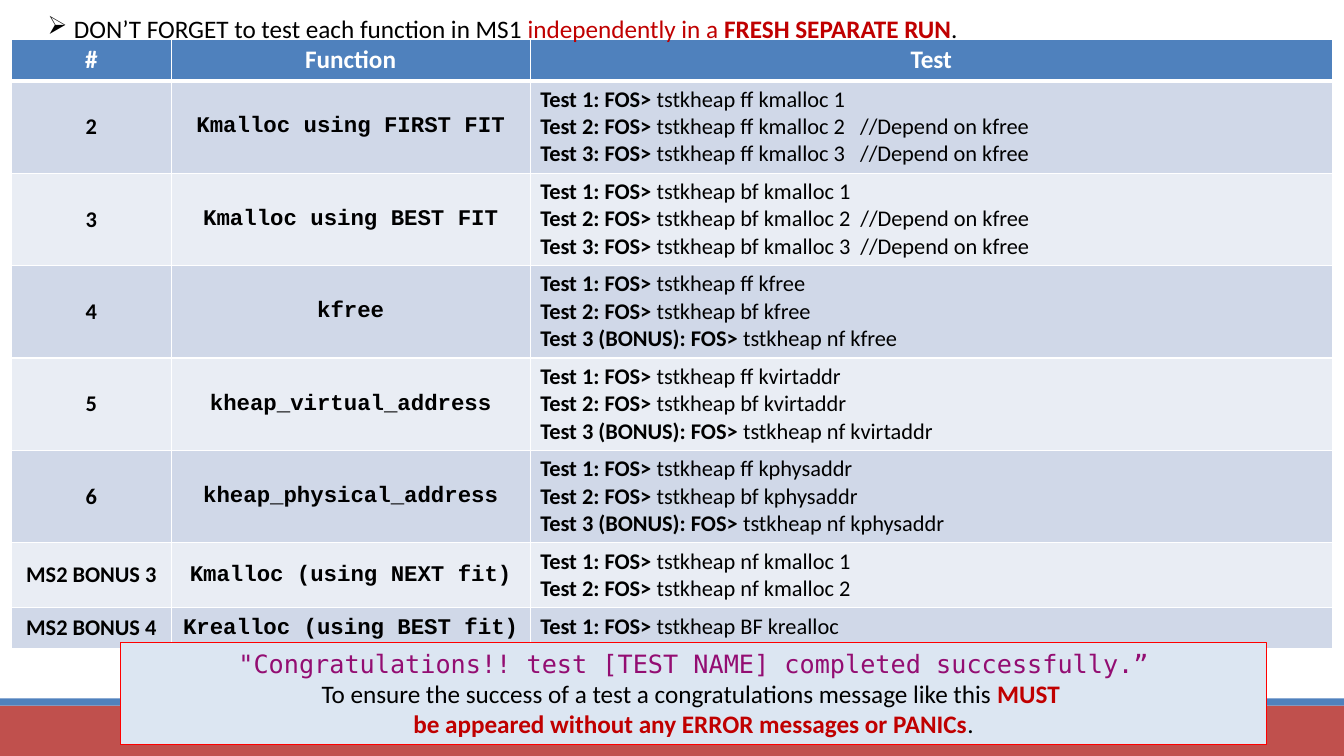
from dataclasses import dataclass
from lxml.etree import SubElement as Sub
from pptx import Presentation
from pptx.dml.color import RGBColor as Rgb
from pptx.enum.shapes import MSO_SHAPE as Shape
from pptx.enum.text import MSO_ANCHOR as Anchor, PP_ALIGN as Align
from pptx.oxml.ns import qn
from pptx.util import Pt

PX = 9525


@dataclass(frozen=True)
class Theme:
    """Colours, fonts and type sizes of the slide."""
    blue: str = "4F81BD"
    brick: str = "C0504D"
    pale: str = "DCE6F2"
    odd: str = "D0D8E8"
    even: str = "E9EDF4"
    white: str = "FFFFFF"
    black: str = "000000"
    edge: str = "FF0000"
    alert: str = "C00000"
    plum: str = "930D72"
    body: str = "Calibri"
    code: str = "Courier New"
    mono: str = "DejaVu Sans Mono"
    big: int = 18
    small: int = 16


T = Theme()
HEADS = ("#", "Function", "Test")
COLS = (152, 342, 764)
BONUS = "Test 3 (BONUS)"
ROWS = (
    ("2", "Kmalloc using FIRST FIT", 88, (
        ("Test 1", "ff kmalloc 1"),
        ("Test 2", "ff kmalloc 2   //Depend on kfree"),
        ("Test 3", "ff kmalloc 3   //Depend on kfree"))),
    ("3", "Kmalloc using BEST FIT", 88, (
        ("Test 1", "bf kmalloc 1"),
        ("Test 2", "bf kmalloc 2  //Depend on kfree"),
        ("Test 3", "bf kmalloc 3  //Depend on kfree"))),
    ("4", "kfree", 88, (
        ("Test 1", "ff kfree"), ("Test 2", "bf kfree"), (BONUS, "nf kfree"))),
    ("5", "kheap_virtual_address", 88, (
        ("Test 1", "ff kvirtaddr"), ("Test 2", "bf kvirtaddr"),
        (BONUS, "nf kvirtaddr"))),
    ("6", "kheap_physical_address", 88, (
        ("Test 1", "ff kphysaddr"), ("Test 2", "bf kphysaddr"),
        (BONUS, "nf kphysaddr"))),
    ("MS2 BONUS 3", "Kmalloc (using NEXT fit)", 62, (
        ("Test 1", "nf kmalloc 1"), ("Test 2", "nf kmalloc 2"))),
    ("MS2 BONUS 4", "Krealloc (using BEST fit)", 39, (
        ("Test 1", "BF krealloc"),)),
)


def emu(*nums):
    """Turn px lengths into EMU."""
    return [n * PX for n in nums]


def add_run(para, text, color=T.black, bold=False, face=T.body, size=T.big):
    """Add one styled run."""
    run = para.add_run()
    run.text = text
    font = run.font
    font.name, font.size, font.bold = face, Pt(size), bold
    font.color.rgb = Rgb.from_string(color)


def add_rect(slide, box, fill, line=None):
    """Add a flat rectangle."""
    rect = slide.shapes.add_shape(Shape.RECTANGLE, *emu(*box))
    rect.shadow.inherit = False
    rect.fill.solid()
    rect.fill.fore_color.rgb = Rgb.from_string(fill)
    if line:
        rect.line.color.rgb = Rgb.from_string(line)
        rect.line.width = Pt(0.75)
    else:
        rect.line.fill.background()
    return rect


def add_foot(slide, box):
    """Draw the footer band under its thin strip."""
    left, top, wide, high = box
    strip = 7
    add_rect(slide, (left, top + strip, wide, high - strip), T.brick)
    add_rect(slide, (left, top, wide, strip), T.blue)


def paint(cell, fill, top=1, base=1):
    """Give a cell its fill and white borders."""
    props = cell._tc.get_or_add_tcPr()
    for side, width in zip("LRTB", (1, 1, top, base)):
        line = Sub(props, qn(f"a:ln{side}"), w=str(Pt(width)))
        Sub(Sub(line, qn("a:solidFill")), qn("a:srgbClr"), val=T.white)
    cell.fill.solid()
    cell.fill.fore_color.rgb = Rgb.from_string(fill)


def add_label(cell, text, **style):
    """Write a bold centred label in a cell."""
    para = cell.text_frame.paragraphs[0]
    para.alignment = Align.CENTER
    add_run(para, text, bold=True, **style)


def add_tests(cell, tests):
    """Write one command line per test."""
    frame = cell.text_frame
    for i, (name, args) in enumerate(tests):
        para = frame.add_paragraph() if i else frame.paragraphs[0]
        add_run(para, f"{name}: FOS> ", bold=True, size=T.small)
        add_run(para, f"tstkheap {args}", size=T.small)


def add_grid(slide, box):
    """Build the table of functions and their tests."""
    frame = slide.shapes.add_table(len(ROWS) + 1, len(COLS), *emu(*box))
    table = frame.table
    table.horz_banding = False
    for col, wide in zip(table.columns, COLS):
        col.width = wide * PX
    table.rows[0].height = (box[3] - sum(row[2] for row in ROWS)) * PX
    for cell, head in zip(table.rows[0].cells, HEADS):
        paint(cell, T.blue, base=3)
        add_label(cell, head, color=T.white)
    for i, (num, func, high, tests) in enumerate(ROWS, 1):
        table.rows[i].height = high * PX
        cells = list(table.rows[i].cells)
        for cell in cells:
            paint(cell, T.odd if i % 2 else T.even, top=3 if i == 1 else 1)
        for cell, text, face in zip(cells, (num, func), (T.body, T.code)):
            cell.vertical_anchor = Anchor.MIDDLE
            add_label(cell, text, face=face, size=T.small)
        add_tests(cells[2], tests)


def add_note(slide, box):
    """Write the bulleted reminder."""
    frame = slide.shapes.add_textbox(*emu(*box)).text_frame
    frame.word_wrap = True
    para = frame.paragraphs[0]
    props = para._p.get_or_add_pPr()
    props.set("marL", str(25 * PX))
    props.set("indent", str(-25 * PX))
    Sub(props, qn("a:buFont"), typeface="Wingdings")
    Sub(props, qn("a:buChar"), char="Ø")
    add_run(para, "DON’T FORGET to test each function in MS1 ")
    add_run(para, "independently in a ", T.alert)
    add_run(para, "FRESH SEPARATE RUN", T.alert, True)
    add_run(para, ".")


def add_call(slide, box):
    """Draw the boxed success message."""
    frame = add_rect(slide, box, T.pale, T.edge).text_frame
    frame.word_wrap = True
    frame.vertical_anchor = Anchor.MIDDLE
    first, last = frame.paragraphs[0], frame.add_paragraph()
    first.alignment = last.alignment = Align.CENTER
    add_run(first, '"Congratulations!! test [TEST NAME] completed successfully.”',
            T.plum, face=T.mono)
    add_run(last, "To ensure the success of a test a congratulations "
            "message like this ")
    add_run(last, "MUST ", T.alert, True)
    last.add_line_break()
    add_run(last, "be appeared without any ERROR messages or PANICs",
            T.alert, True)
    add_run(last, ".")


def main():
    """Build and save the slide."""
    deck = Presentation()
    deck.slide_width, deck.slide_height = emu(1280, 720)
    slide = deck.slides.add_slide(deck.slide_layouts[6])
    add_foot(slide, (0, 665, 1280, 55))
    add_grid(slide, (11, 38, sum(COLS), 580))
    add_note(slide, (36, 8, 1209, 38))
    add_call(slide, (115, 612, 1091, 97))
    deck.save("out.pptx")


if __name__ == "__main__":
    main()
